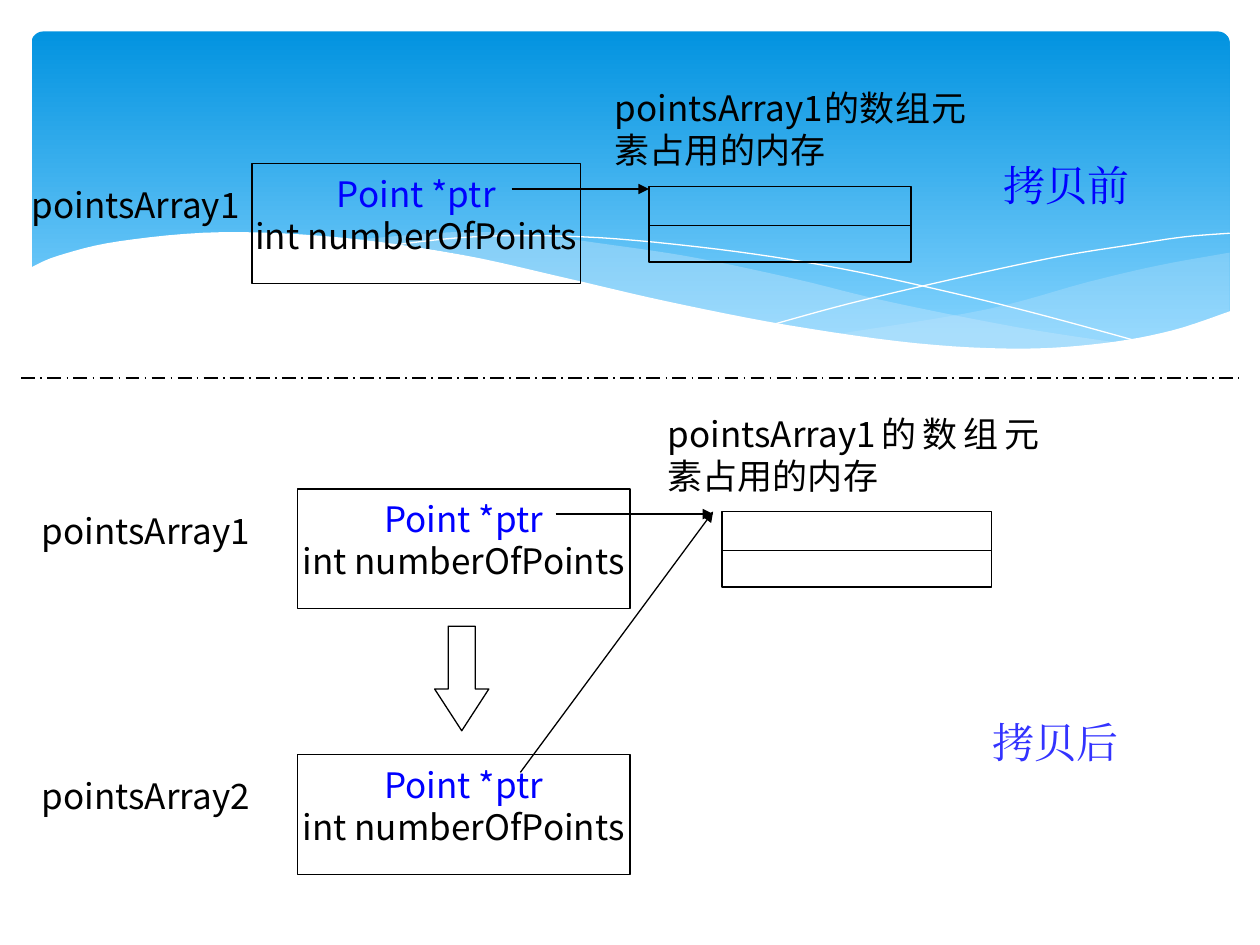
from lxml import etree
from pptx import Presentation, util as u
from pptx.dml import color
from pptx.enum import dml, shapes, text
from pptx.oxml import ns

COLS, ROWS = 100, 75
CELL = u.Inches(0.1)
SANS, SERIF = "Noto Sans CJK SC", "Times New Roman"
BLACK, BLUE, WHITE, MIST = "000000", "0000FF", "FFFFFF", "C6E7FC"
CAPTION = "pointsArray1的数组元素占用的内存"

deck = Presentation()
deck.slide_width, deck.slide_height = COLS * CELL, ROWS * CELL
slide = deck.slides.add_slide(deck.slide_layouts[6])
tree = slide.shapes


def grid(*cells):
    return [round(c * CELL) for c in cells]


def rgb(code):
    return color.RGBColor.from_string(code)


def apply(item, form):
    for key, value in form.items():
        setattr(item, key, value)


def child(node, tag, **attrs):
    return etree.SubElement(node, ns.qn(tag), attrs)


def paint(shape, fill=None, line=None, width=0.75, alpha=None):
    shape.shadow.inherit = False
    if fill:
        shape.fill.solid()
        shape.fill.fore_color.rgb = rgb(fill)
        if alpha:
            tint = shape.fill._xPr.find(".//" + ns.qn("a:srgbClr"))
            child(tint, "a:alpha", val=str(alpha * 1000))
    else:
        shape.fill.background()
    if line:
        shape.line.color.rgb = rgb(line)
        shape.line.width = u.Pt(width)
    else:
        shape.line.fill.background()


def block(box, kind=shapes.MSO_SHAPE.RECTANGLE):
    shape = tree.add_shape(kind, *grid(*box))
    paint(shape, line=BLACK)
    return shape


def write(shape, lines, size=20, font=SANS, align="CENTER", side=0, top=0.2):
    frame = shape.text_frame
    left, roof = grid(side, top)
    apply(frame, {"word_wrap": True, "vertical_anchor": text.MSO_ANCHOR.TOP,
                  "margin_left": left, "margin_right": left,
                  "margin_top": roof, "margin_bottom": 0})
    for i, (words, tone) in enumerate(lines):
        para = frame.add_paragraph() if i else frame.paragraphs[0]
        apply(para, {"alignment": getattr(text.PP_ALIGN, align),
                     "line_spacing": u.Pt(size * 1.2)})
        run = para.add_run()
        run.text = words
        apply(run.font, {"size": u.Pt(size), "name": font})
        run.font.color.rgb = rgb(tone)
        child(run.font._element, "a:ea", typeface=font)


def label(box, words, tone=BLACK, **form):
    write(tree.add_textbox(*grid(*box)), [(words, tone)], **form)


def link(start, end, width=0.75, arrow=False, dash=None):
    line = tree.add_connector(shapes.MSO_CONNECTOR.STRAIGHT, *grid(*start, *end))
    line.line.color.rgb = rgb(BLACK)
    apply(line.line, {"width": u.Pt(width), "dash_style": dash})
    if arrow:
        child(line.line._get_or_add_ln(), "a:tailEnd", type="triangle")
    child(line._element.spPr, "a:effectLst")


def curve(knots, steps=6):
    ends = [knots[0], *knots, knots[-1]]
    dots = []
    for a, b, c, d in zip(ends, ends[1:], ends[2:], ends[3:]):
        for t in (k / steps for k in range(steps)):
            dots.append([
                (2 * q + (r - p) * t + (2 * p - 5 * q + 4 * r - s) * t**2
                 + (3 * q - p - 3 * r + s) * t**3) / 2
                for p, q, r, s in zip(a, b, c, d)])
    return dots + [knots[-1]]


def wave(box, *edges, close=True, **form):
    x, y, w, h = box
    dots = [grid(x + w * a, y + h * b) for edge in edges for a, b in curve(edge)]
    pen = tree.build_freeform(*dots[0])
    pen.add_line_segments(dots[1:], close=close)
    paint(pen.convert_to_shape(), **form)


def banner(box):
    x, y, w, h = box
    sky = block(box, shapes.MSO_SHAPE.ROUNDED_RECTANGLE)
    sky.adjustments[0] = 0.034
    paint(sky)
    sky.fill.gradient()
    sky.fill.gradient_angle = 270
    for stop, tone, spot in zip(sky.fill.gradient_stops, ("0293E0", "83D3FE"), (0, 0.9)):
        stop.color.rgb = rgb(tone)
        stop.position = spot
    wave((x + 0.67 * w, y + 0.65 * h, 0.33 * w, 0.29 * h),
         [(1, 0), (0.82, 0.13), (0.64, 0.3), (0.38, 0.58), (0, 0.83)],
         [(0, 0.83), (0.18, 0.91), (0.38, 0.98), (0.55, 0.98), (0.75, 0.9),
          (0.87, 0.79), (1, 0.6)], fill=MIST, alpha=29)
    wave((x + 0.275 * w, y + 0.59 * h, 0.637 * w, 0.345 * h),
         [(1, 0.95), (0.86, 0.81), (0.69, 0.59), (0.57, 0.4), (0.44, 0.22),
          (0.33, 0.11), (0.22, 0.02), (0.12, 0), (0, 0.06)],
         [(0, 0.06), (0.13, 0.19), (0.27, 0.4), (0.46, 0.68), (0.6, 0.85),
          (0.74, 0.97), (0.86, 1), (0.94, 0.99), (1, 0.95)], fill=MIST, alpha=40)
    hair = {"close": False, "line": WHITE, "width": 0}
    wave((x + 0.3 * w, y + 0.6 * h, 0.628 * w, 0.315 * h),
         [(0, 0.09), (0.09, 0.02), (0.18, 0), (0.3, 0.03), (0.46, 0.15),
          (0.6, 0.31), (0.75, 0.54), (0.87, 0.75), (1, 1)], **hair)
    wave((x + 0.62 * w, y + 0.593 * h, 0.38 * w, 0.267 * h),
         [(0, 1), (0.16, 0.78), (0.37, 0.53), (0.61, 0.27), (0.78, 0.13),
          (0.9, 0.04), (1, 0)], **hair)
    wave((x - 0.2, y + 0.59 * h, w + 0.4, 0.535 * h),
         [(0, 0.2), (0.024, 0.13), (0.075, 0.05), (0.16, 0), (0.26, 0.03),
          (0.36, 0.125), (0.445, 0.25), (0.53, 0.38), (0.63, 0.51),
          (0.737, 0.61), (0.824, 0.64), (0.893, 0.61), (0.95, 0.54), (1, 0.43)],
         [(1, 0.43), (1, 1)], [(1, 1), (0, 1)], fill=WHITE)


def record(box, name, left, span):
    top = box[1]
    write(block(box), [("Point *ptr", BLUE), ("int numberOfPoints", BLACK)], top=0.7)
    label((left, top + 1.4, span, 3.6), name, align="JUSTIFY")


def memory(box, left, span):
    x, y, w, h = box
    block(box)
    link((x, y + 0.52 * h), (x + w, y + 0.52 * h))
    label((left, y - 8.1, span, 7.7), CAPTION, align="JUSTIFY")


def stage(box, words, tone):
    label(box, words, tone, size=24, font=SERIF, side=1)


def before(x, y):
    stage((x + 71.7, y - 0.5, 20.9, 4.3), "拷贝前", BLUE)
    memory((x + 49, y + 1.8, 20.8, 6), x + 46.3, 27.9)
    link((x + 38.1, y + 2), (x + 49, y + 2), arrow=True)
    record((x + 17.5, y, 26.1, 9.5), "pointsArray1", x, 20.5)


def after(x, y):
    gap = 21.1
    stage((x + 70, y + 17.9, 20.9, 4.3), "拷贝后", "3333FF")
    for i in range(2):
        record((x + 20.3, y + i * gap, 26.4, 9.5), f"pointsArray{i + 1}", x, 19.9)
    link((x + 40.8, y + 2), (x + 53.3, y + 2), arrow=True)
    link((x + 38, y + gap + 1.4), (x + 53.3, y + 1.8), arrow=True)
    down = block((x + 31.2, y + 10.9, 4.3, 8.3), shapes.MSO_SHAPE.DOWN_ARROW)
    down.adjustments[0], down.adjustments[1] = 0.5, 0.77
    memory((x + 54, y + 1.8, 21.4, 6), x + 49.7, 29.5)


banner((2.5, 2.5, 95.1, 27))
before(2.5, 13)
after(3.3, 38.8)
link((1.7, 30), (98.3, 30), width=1, dash=dml.MSO_LINE.LONG_DASH_DOT)
deck.save("out.pptx")
